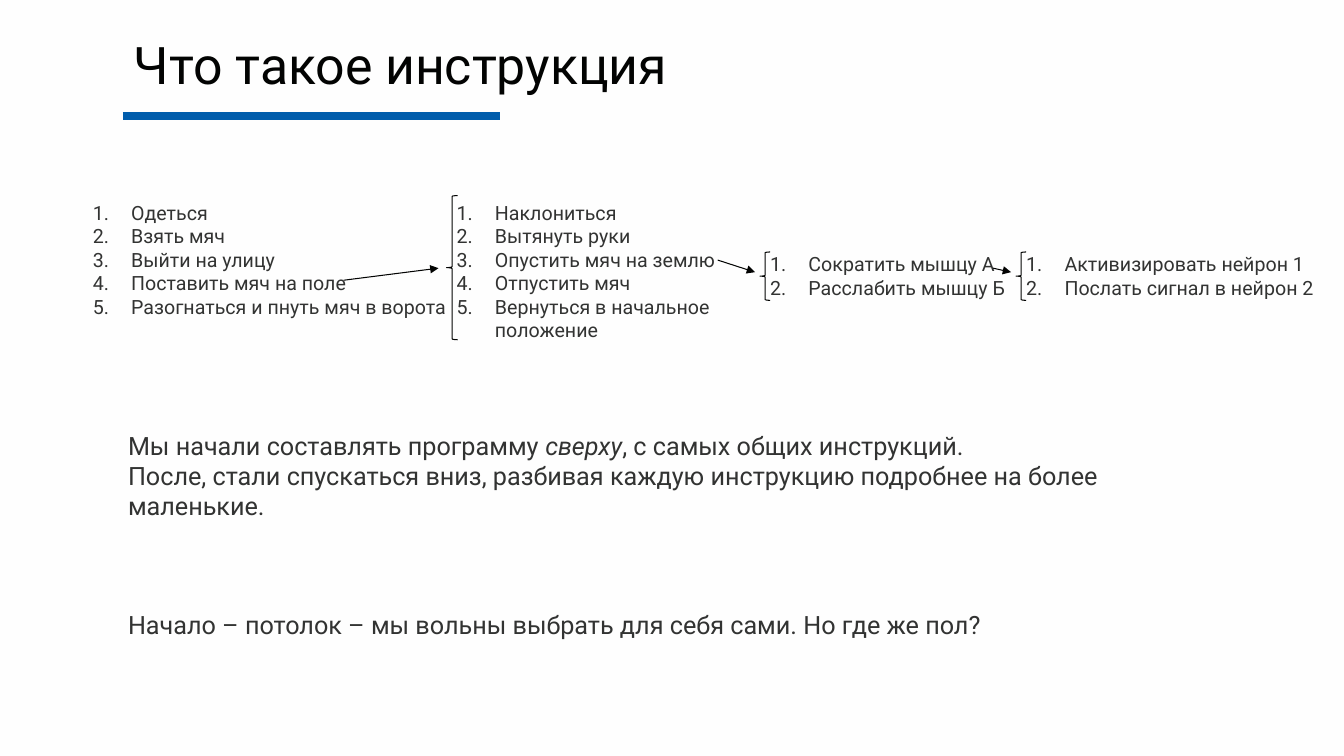
from pptx import Presentation
from pptx.dml.color import RGBColor
from pptx.enum.shapes import MSO_CONNECTOR, MSO_SHAPE
from pptx.enum.text import MSO_ANCHOR, PP_ALIGN
from pptx.oxml.ns import qn
from pptx.util import Inches, Pt
from lxml.etree import SubElement

BLACK, GREY, BLUE = "020302", "323332", "015DAC"

prs = Presentation()
prs.slide_width, prs.slide_height = Inches(13.33), Inches(7.5)
s = prs.slides.add_slide(prs.slide_layouts[6])
s.background.fill.solid()
s.background.fill.fore_color.rgb = RGBColor.from_string("FEFEFE")

# All places are percentages of the slide's width and height
W, H = prs.slide_width / 100, prs.slide_height / 100


def add_text(x, y, w, h, paragraphs, size, color=GREY, inset=0.05):
    """Add a text box; each paragraph is a list of runs, *run is italic."""
    tf = s.shapes.add_textbox(int(x * W), int(y * H), int(w * W), int(h * H)).text_frame
    tf.word_wrap = True
    tf.margin_left = tf.margin_right = Inches(inset)
    tf.margin_top = tf.margin_bottom = Inches(0.05)
    for i, runs in enumerate(paragraphs):
        p = tf.paragraphs[0] if i == 0 else tf.add_paragraph()
        p.alignment = PP_ALIGN.LEFT
        for text in runs:
            r = p.add_run()
            r.text = text.lstrip("*")
            r.font.name, r.font.size = "Roboto", Pt(size)
            r.font.italic = text.startswith("*")
            r.font.color.rgb = RGBColor.from_string(color)
    return tf


def add_line(x1, y1, x2, y2, color, width):
    c = s.shapes.add_connector(MSO_CONNECTOR.STRAIGHT, int(x1 * W), int(y1 * H),
                               int(x2 * W), int(y2 * H))
    c.line.color.rgb = RGBColor.from_string(color)
    c.line.width = Pt(width)
    SubElement(c._element.spPr, qn("a:effectLst"))
    return c


# Title with its underline
add_line(9.15, 15.33, 37.2, 15.33, BLUE, 6)
tf = add_text(9.23, 5.2, 79.8, 8, [["Что такое инструкция"]], 37, BLACK, 0.1)
tf.vertical_anchor = MSO_ANCHOR.MIDDLE
tf.paragraphs[0].line_spacing = 0.8

# Numbered lists, from general to detailed: x, y, w, h, items
lists = [
    (6.53, 25.87, 28.28, 17.07, ["Одеться", "Взять мяч", "Выйти на улицу",
                                 "Поставить мяч на поле",
                                 "Разогнаться и пнуть мяч в ворота"]),
    (33.6, 25.87, 22.58, 20.13, ["Наклониться", "Вытянуть руки",
                                 "Опустить мяч на землю", "Отпустить мяч",
                                 "Вернуться в начальное положение"]),
    (56.93, 32.67, 22.58, 7.6, ["Сократить мышцу А", "Расслабить мышцу Б"]),
    (75.98, 32.67, 22.58, 7.6, ["Активизировать нейрон 1",
                                "Послать сигнал в нейрон 2"]),
]
for x, y, w, h, items in lists:
    tf = add_text(x, y, w, h, [[item] for item in items], 14)
    for p in tf.paragraphs:
        pPr = p._p.get_or_add_pPr()
        pPr.set("marL", str(Inches(0.38)))
        pPr.set("indent", str(-Inches(0.38)))
        SubElement(pPr, qn("a:buFont")).set("typeface", "Roboto")
        SubElement(pPr, qn("a:buAutoNum")).set("type", "arabicPeriod")

# A brace just left of each detailed list: y, w, h
braces = [(25.87, 0.83, 19.07), (33.33, 0.75, 6.4), (33.33, 0.75, 6.4)]
for (x, *_), (y, w, h) in zip(lists[1:], braces):
    brace = s.shapes.add_shape(MSO_SHAPE.LEFT_BRACE, int((x - 0.38) * W), int(y * H),
                               int(w * W), int(h * H))
    brace.shadow.inherit = False
    brace.fill.background()
    brace.line.color.rgb = RGBColor.from_string(BLACK)
    brace.line.width = Pt(0.75)

# Arrows from an instruction to its breakdown
for ends in [(25.58, 37.07, 32.63, 35.47), (53.4, 34.4, 56.18, 36),
             (73.88, 35.47, 75.23, 36)]:
    arrow = add_line(*ends, BLACK, 0.75)
    SubElement(arrow.line._get_or_add_ln(), qn("a:tailEnd")).set("type", "triangle")

# Explanation and closing question
add_text(9.15, 56.27, 79.8, 13.47, [
    ["Мы начали составлять программу ", "*сверху", ", с самых общих инструкций."],
    ["После, стали спускаться вниз, разбивая каждую инструкцию подробнее на более маленькие."],
], 18)
add_text(9.15, 80, 79.8, 5.33,
         [["Начало – потолок – мы вольны выбрать для себя сами. Но где же пол?"]], 18)

prs.save("out.pptx")
